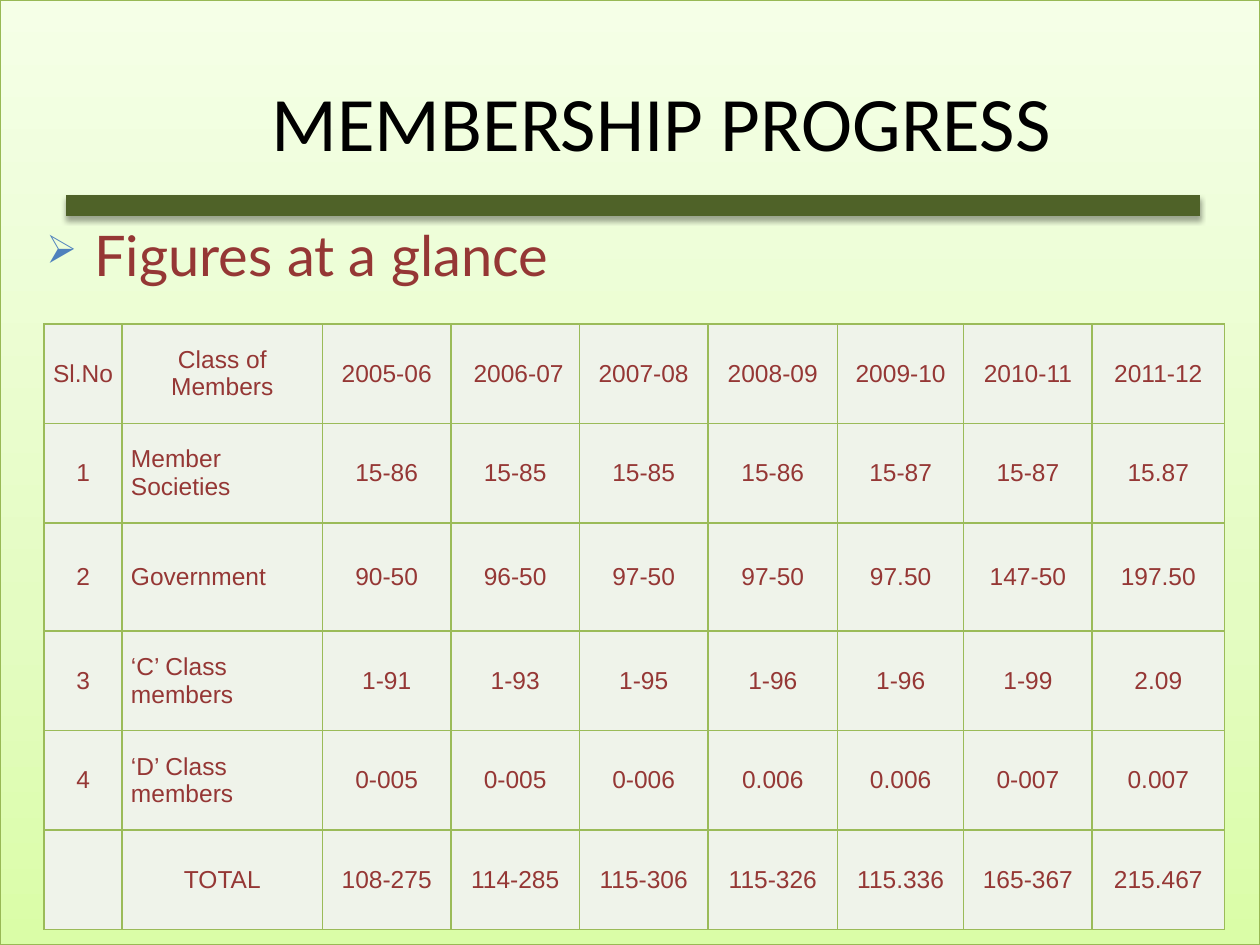
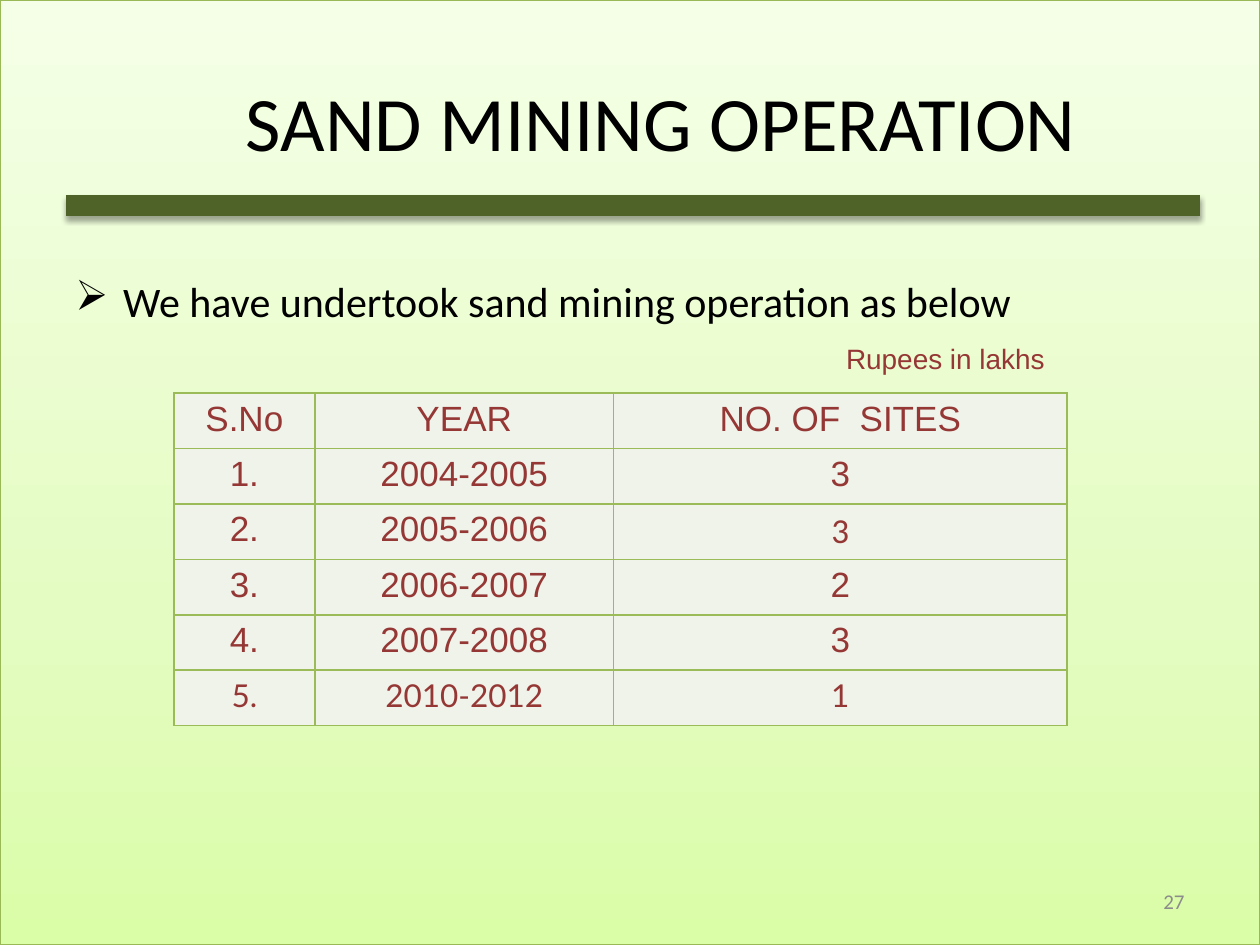
import dataclasses

import lxml.etree
import pptx
import pptx.dml.color
import pptx.enum.shapes
import pptx.enum.text
import pptx.oxml
import pptx.oxml.ns
import pptx.util

Inches = pptx.util.Inches
Pt = pptx.util.Pt
RGB = pptx.dml.color.RGBColor.from_string
SHAPE = pptx.enum.shapes.MSO_SHAPE
ALIGN = pptx.enum.text.PP_ALIGN
ANCHOR = pptx.enum.text.MSO_ANCHOR
BLANK = 6


@dataclasses.dataclass(frozen=True)
class Theme:
    heading: str = "Calibri"
    accent: str = "Lato"
    plain: str = "Arial"
    black: str = "000000"
    maroon: str = "953735"
    olive: str = "4F6228"
    frame: str = "98B955"
    grid: str = "9BBB59"
    cell: str = "EFF3EA"
    blue: str = "4F81BD"
    grey: str = "8C8C8C"
    backdrop: tuple = ((0, "DAFDA7"), (35, "E4FCC2"), (100, "F5FFE7"))
    title_size: int = 44
    lead_size: int = 32
    body_size: int = 24
    table_size: int = 20
    small_table_size: int = 14
    closing_row_size: int = 18
    unit_size: int = 16
    number_size: int = 12


def add_xml(parent, tag, **attributes):
    return lxml.etree.SubElement(parent, pptx.oxml.ns.qn(tag), attributes)


def add_color(parent, color):
    return add_xml(add_xml(parent, "a:solidFill"), "a:srgbClr", val=color)


class Deck:
    def __init__(self, theme):
        self.theme = theme
        self.presentation = pptx.Presentation()
        self.presentation.slide_width = Inches(10)
        self.presentation.slide_height = Inches(7.5)
        self.slide = None

    def new_slide(self, title):
        """Start a slide with the backdrop, the title and the bar under it."""
        layout = self.presentation.slide_layouts[BLANK]
        self.slide = self.presentation.slides.add_slide(layout)
        self.backdrop()
        bar = self.shape(SHAPE.MATH_MINUS, -1.1, 1.28, 12.25, 0.71)
        bar.fill.solid()
        bar.fill.fore_color.rgb = RGB(self.theme.olive)
        bar.line.fill.background()
        self.shadow(bar, distance=1.8, opacity=35)
        self.text(title, 0.5, 0.5, 9.5, 0.92, self.theme.heading, self.theme.title_size,
                  self.theme.black, ALIGN.CENTER, ANCHOR.MIDDLE)

    def shape(self, preset, left, top, width, height):
        return self.slide.shapes.add_shape(
            preset, Inches(left), Inches(top), Inches(width), Inches(height))

    def backdrop(self):
        panel = self.shape(SHAPE.RECTANGLE, 0, 0, 10, 7.5)
        panel.fill.gradient()
        panel.fill.gradient_angle = 90
        stops = panel._element.spPr.find(".//" + pptx.oxml.ns.qn("a:gsLst"))
        for stop in list(stops):
            stops.remove(stop)
        for position, color in self.theme.backdrop:
            stop = add_xml(stops, "a:gs", pos=str(position * 1000))
            add_xml(stop, "a:srgbClr", val=color)
        panel.line.color.rgb = RGB(self.theme.frame)
        panel.line.width = Pt(0.75)
        self.shadow(panel, distance=1.6, opacity=38)

    def shadow(self, shape, distance, opacity):
        """Cast a soft black shadow straight down."""
        shape.shadow.inherit = False
        effects = shape._element.spPr.find(pptx.oxml.ns.qn("a:effectLst"))
        outer = add_xml(effects, "a:outerShdw", blurRad=str(Pt(3.1)), dist=str(Pt(distance)),
                        dir="5400000", rotWithShape="0")
        color = add_xml(outer, "a:srgbClr", val=self.theme.black)
        add_xml(color, "a:alpha", val=str(opacity * 1000))

    def set_words(self, paragraph, words, font, size, color, align):
        paragraph.text = words
        paragraph.alignment = align
        paragraph.font.name = font
        paragraph.font.size = Pt(size)
        paragraph.font.color.rgb = RGB(color)

    def text(self, words, left, top, width, height, font, size, color,
             align=ALIGN.LEFT, anchor=ANCHOR.TOP):
        box = self.slide.shapes.add_textbox(
            Inches(left), Inches(top), Inches(width), Inches(height))
        box.text_frame.word_wrap = True
        box.text_frame.vertical_anchor = anchor
        paragraph = box.text_frame.paragraphs[0]
        self.set_words(paragraph, words, font, size, color, align)
        return paragraph

    def bullet(self, words, left, top, font, size, color, mark_color=None, mark_percent=100):
        paragraph = self.text(words, left, top, 9.5, 0.71, font, size, color)
        properties = paragraph._p.get_or_add_pPr()
        properties.set("marL", str(Inches(0.38)))
        properties.set("indent", str(Inches(-0.38)))
        mark = add_xml(properties, "a:buClr")
        add_xml(mark, "a:srgbClr", val=mark_color or color)
        add_xml(properties, "a:buSzPct", val=str(mark_percent * 1000))
        add_xml(properties, "a:buChar", char="➢")
        # Bullet elements belong ahead of the default run properties.
        defaults = properties.find(pptx.oxml.ns.qn("a:defRPr"))
        if defaults is not None:
            properties.append(defaults)
        return paragraph

    def table(self, rows, left, top, widths, heights, size, anchor=ANCHOR.TOP,
              margins=None, left_aligned=(), special_fonts=None):
        """Draw a grid; special_fonts maps (row, column) to (font, size)."""
        special_fonts = special_fonts or {}
        grid = self.slide.shapes.add_table(
            len(rows), len(widths), Inches(left), Inches(top),
            Inches(sum(widths)), Inches(sum(heights))).table
        grid.first_row = grid.horz_banding = False
        for column, width in zip(grid.columns, widths):
            column.width = Inches(width)
        for row, height in zip(grid.rows, heights):
            row.height = Inches(height)
        for r, values in enumerate(rows):
            for c, value in enumerate(values):
                cell = grid.cell(r, c)
                font, points = special_fonts.get((r, c), (self.theme.plain, size))
                align = ALIGN.LEFT if (r, c) in left_aligned else ALIGN.CENTER
                self.set_words(cell.text_frame.paragraphs[0], value, font, points,
                               self.theme.maroon, align)
                cell.vertical_anchor = anchor
                if margins:
                    cell.margin_left = cell.margin_right = Inches(margins[0])
                    cell.margin_top = cell.margin_bottom = Inches(margins[1])
                self.cell_borders(cell)
                cell.fill.solid()
                cell.fill.fore_color.rgb = RGB(self.theme.cell)

    def cell_borders(self, cell):
        properties = cell._tc.get_or_add_tcPr()
        for side in ("a:lnL", "a:lnR", "a:lnT", "a:lnB"):
            add_color(add_xml(properties, side, w=str(Pt(1))), self.theme.grid)


def membership_progress(deck):
    theme = deck.theme
    deck.new_slide("MEMBERSHIP PROGRESS")
    members = [
        ("Sl.No", "Class of Members", "2005-06", " 2006-07", "2007-08", "2008-09",
         "2009-10", "2010-11", "2011-12"),
        ("1", "Member Societies", "15-86", "15-85", "15-85", "15-86", "15-87", "15-87", "15.87"),
        ("2", "Government", "90-50", "96-50", "97-50", "97-50", "97.50", "147-50", "197.50"),
        ("3", "‘C’ Class members", "1-91", "1-93", "1-95", "1-96", "1-96", "1-99", "2.09"),
        ("4", "‘D’ Class members", "0-005", "0-005", "0-006", "0.006", "0.006", "0-007", "0.007"),
        ("", "TOTAL", "108-275", "114-285", "115-306", "115-326", "115.336", "165-367",
         "215.467"),
    ]
    deck.table(members, 0.35, 2.57,
               widths=[0.62, 1.59, 1.02, 1.02, 1.02, 1.03, 1, 1.02, 1.05],
               heights=[0.79, 0.79, 0.86, 0.79, 0.79, 0.79],
               size=theme.small_table_size, anchor=ANCHOR.MIDDLE, margins=(0.07, 0),
               left_aligned={(row, 1) for row in range(1, 5)})
    deck.bullet("Figures at a glance", 0.27, 1.7, theme.accent, theme.lead_size, theme.maroon,
                mark_color=theme.blue, mark_percent=70)


def sand_mining(deck):
    theme = deck.theme
    deck.new_slide("SAND MINING OPERATION")
    deck.text("27", 7.17, 6.95, 2.33, 0.4, theme.heading, theme.number_size, theme.grey,
              ALIGN.RIGHT, ANCHOR.MIDDLE)
    lead = deck.bullet("We have undertook sand mining operation as below", 0.5, 2.18,
                       theme.heading, theme.body_size, theme.black)
    lead.line_spacing = 0.9
    sites = [
        ("S.No", "YEAR", "NO. OF  SITES"),
        ("1.", "2004-2005", "3"),
        ("2.", "2005-2006", "3"),
        ("3.", "2006-2007", "2"),
        ("4.", "2007-2008", "3"),
        ("5.", "2010-2012", "1"),
    ]
    special_fonts = {(5, column): (theme.accent, theme.closing_row_size) for column in range(3)}
    special_fonts[2, 2] = (theme.heading, theme.table_size)
    deck.table(sites, 1.38, 3.12, widths=[1.12, 2.37, 3.6], heights=[0.44] * len(sites),
               size=theme.table_size, special_fonts=special_fonts)
    deck.text("Rupees in lakhs", 5.71, 2.66, 2.68, 0.37, theme.plain, theme.unit_size,
              theme.maroon, ALIGN.RIGHT)


def main():
    deck = Deck(Theme())
    membership_progress(deck)
    sand_mining(deck)
    deck.presentation.save("out.pptx")


if __name__ == "__main__":
    main()
